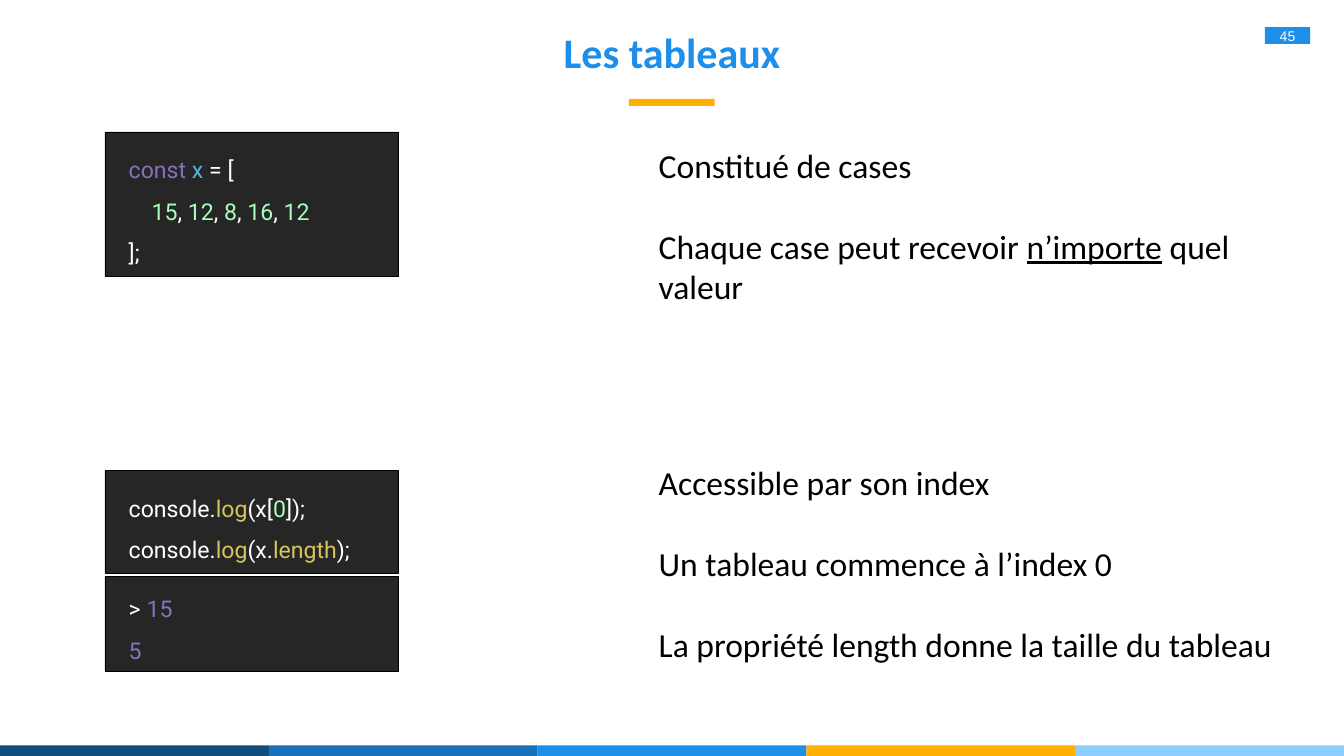
from pptx import Presentation
from pptx.dml.color import RGBColor
from pptx.enum.shapes import MSO_SHAPE
from pptx.enum.text import MSO_ANCHOR, MSO_AUTO_SIZE, PP_ALIGN
from pptx.util import Cm, Pt

RECT = MSO_SHAPE.RECTANGLE
TOP, MIDDLE = MSO_ANCHOR.TOP, MSO_ANCHOR.MIDDLE
LEFT, CENTER = PP_ALIGN.LEFT, PP_ALIGN.CENTER
GROW = MSO_AUTO_SIZE.SHAPE_TO_FIT_TEXT

BLUE = RGBColor(0x1D, 0x8E, 0xEA)
NAVY = RGBColor(0x13, 0x4D, 0x7E)
MID_BLUE = RGBColor(0x19, 0x71, 0xBB)
PALE_BLUE = RGBColor(0x8B, 0xCE, 0xFF)
AMBER = RGBColor(0xFF, 0xB0, 0x00)
BLACK = RGBColor(0, 0, 0)
WHITE = RGBColor(0xFF, 0xFF, 0xFF)
CODE_BG = RGBColor(0x26, 0x26, 0x26)
PURPLE = RGBColor(0x88, 0x71, 0xBB)
CYAN = RGBColor(0x5E, 0xB1, 0xD8)
GREEN = RGBColor(0xA6, 0xFF, 0xBB)
YELLOW = RGBColor(0xD7, 0xC5, 0x59)

SLIDE_W, SLIDE_H = 67.74, 38.1
TITLE = "Les tableaux"
PAGE = "45"
FOOTER_COLORS = [NAVY, MID_BLUE, BLUE, AMBER, PALE_BLUE]
FOOTER_H = 0.53

# Each line is a list of (text, colour) runs.
ARRAY_CODE = [
    [("const ", PURPLE), ("x", CYAN), (" = [", WHITE)],
    [("    ", WHITE), ("15", GREEN), (", ", WHITE), ("12", GREEN), (", ", WHITE),
     ("8", GREEN), (", ", WHITE), ("16", GREEN), (", ", WHITE), ("12", GREEN)],
    [("];", WHITE)],
]
LOG_CODE = [
    [("console.", WHITE), ("log", YELLOW), ("(x[", WHITE), ("0", GREEN), ("]);", WHITE)],
    [("console.", WHITE), ("log", YELLOW), ("(x.", WHITE), ("length", YELLOW), (");", WHITE)],
]
OUTPUT = [
    [("> ", WHITE), ("15", PURPLE)],
    [("5", PURPLE)],
]
# (top, height, anchor, top inset, lines)
CODE_BOXES = [
    (6.65, 7.26, MIDDLE, 0.6, ARRAY_CODE),
    (23.72, 5.16, MIDDLE, 0.6, LOG_CODE),
    (29.06, 4.75, TOP, 0.2, OUTPUT),
]
CODE_X, CODE_W = 5.29, 14.8

# (top, height, anchor, paragraphs of (text, underlined) runs)
NOTES = [
    (6.65, 9.42, MIDDLE, [
        [("Constitué de cases", False)],
        [("Chaque case peut recevoir ", False), ("n’importe", True), (" quel valeur", False)],
    ]),
    (22.66, 11.48, TOP, [
        [("Accessible par son index", False)],
        [("Un tableau commence à l’index 0", False)],
        [("La propriété length donne la taille du tableau", False)],
    ]),
]
NOTE_X, NOTE_W = 32, 33.9
NOTE_GAP = Pt(58.6)


def add_rect(slide, x, y, w, h, fill):
    sp = slide.shapes.add_shape(RECT, Cm(x), Cm(y), Cm(w), Cm(h))
    sp.shadow.inherit = False
    sp.fill.solid()
    sp.fill.fore_color.rgb = fill
    sp.line.fill.background()
    return sp


def set_frame(tf, anchor, side=1.2, top=0.6, bottom=0.6):
    """Set wrapping, anchor and insets (cm) of a text frame."""
    tf.word_wrap = True
    tf.vertical_anchor = anchor
    tf.margin_left = tf.margin_right = Cm(side)
    tf.margin_top, tf.margin_bottom = Cm(top), Cm(bottom)


def next_paragraph(tf, index, align=LEFT):
    p = tf.add_paragraph() if index else tf.paragraphs[0]
    p.alignment = align
    return p


def add_run(p, text, font, size, color):
    r = p.add_run()
    r.text = text
    r.font.name, r.font.size = font, Pt(size)
    r.font.color.rgb = color
    return r


def add_code(slide, top, height, anchor, inset, lines):
    sp = add_rect(slide, CODE_X, top, CODE_W, height, CODE_BG)
    sp.line.color.rgb = BLACK
    sp.line.width = Pt(0.75)
    tf = sp.text_frame
    set_frame(tf, anchor, top=inset)
    tf.auto_size = GROW
    for i, line in enumerate(lines):
        p = next_paragraph(tf, i)
        p.line_spacing = 1.5
        for text, color in line:
            add_run(p, text, "Roboto", 33, color)


def add_note(slide, top, height, anchor, paragraphs):
    box = slide.shapes.add_textbox(Cm(NOTE_X), Cm(top), Cm(NOTE_W), Cm(height))
    tf = box.text_frame
    set_frame(tf, anchor)
    tf.auto_size = GROW
    for i, runs in enumerate(paragraphs):
        p = next_paragraph(tf, i)
        if i:
            p.space_before = NOTE_GAP
        for text, underlined in runs:
            r = add_run(p, text, "Calibri", 48, BLACK)
            if underlined:
                r.font.underline = True


def main():
    prs = Presentation()
    prs.slide_width, prs.slide_height = Cm(SLIDE_W), Cm(SLIDE_H)
    s = prs.slides.add_slide(prs.slide_layouts[5])

    band_w = SLIDE_W / len(FOOTER_COLORS)
    for i, color in enumerate(FOOTER_COLORS):
        add_rect(s, i * band_w, SLIDE_H - FOOTER_H, band_w, FOOTER_H, color)
    add_rect(s, 31.7, 4.98, 4.32, 0.36, AMBER)

    tf = add_rect(s, 63.75, 1.37, 2.29, 0.84, BLUE).text_frame
    set_frame(tf, MIDDLE, 0, 0, 0)
    add_run(next_paragraph(tf, 0, CENTER), PAGE, "Arial", 20, WHITE)

    title = s.shapes.title
    title.left, title.top = Cm(0), Cm(0)
    title.width, title.height = Cm(SLIDE_W), Cm(5.16)
    tf = title.text_frame
    set_frame(tf, MIDDLE, 0.25, 0.13, 0.13)
    r = add_run(next_paragraph(tf, 0, CENTER), TITLE, "Calibri", 60, BLUE)
    r.font.bold = True

    for note in NOTES:
        add_note(s, *note)
    for code_box in CODE_BOXES:
        add_code(s, *code_box)

    prs.save("out.pptx")


if __name__ == "__main__":
    main()
